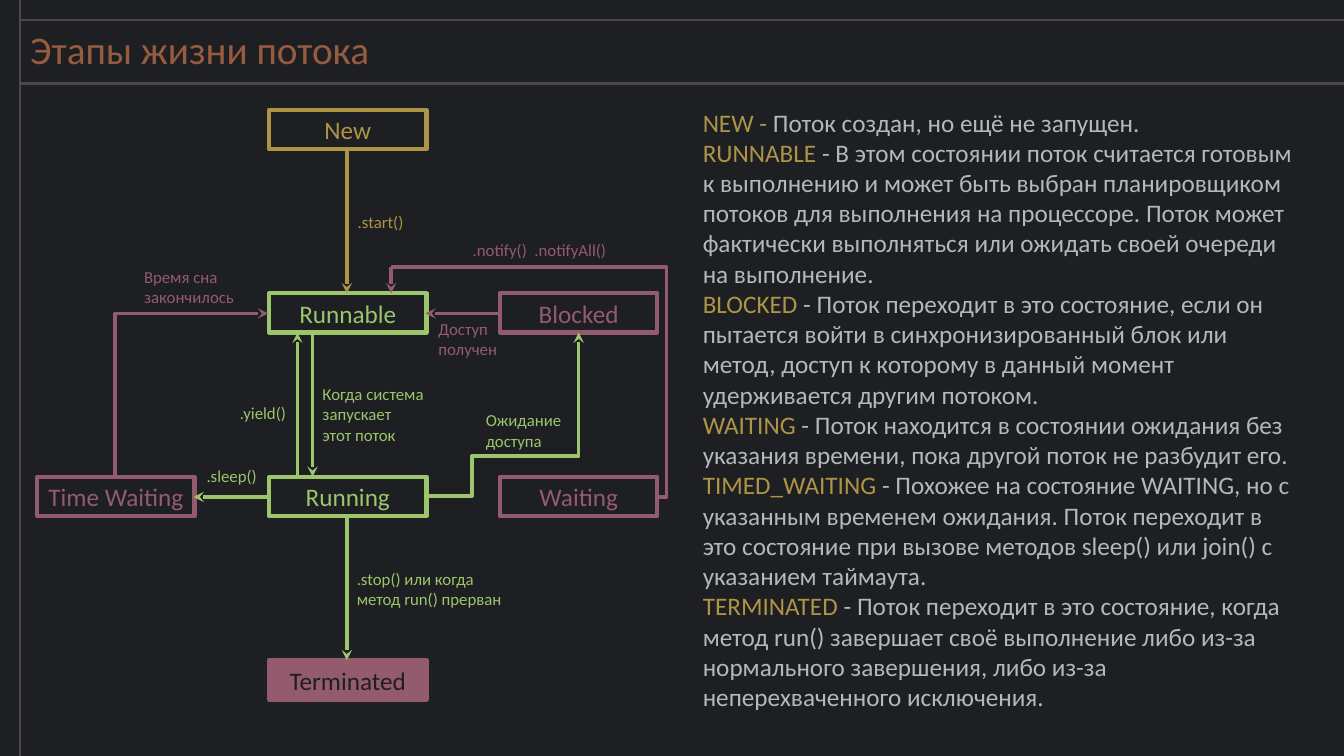
from lxml.etree import SubElement
from pptx import Presentation
from pptx.dml.color import RGBColor
from pptx.enum.shapes import MSO_CONNECTOR as Link, MSO_SHAPE as Preset
from pptx.enum.text import MSO_ANCHOR as Anchor, MSO_AUTO_SIZE as Fit, PP_ALIGN as Align
from pptx.oxml.ns import qn
from pptx.util import Inches, Pt

COLORS = {
    "background": "1E1F22",
    "rule": "4A494A",
    "title": "965C3F",
    "text": "B5B7BC",
    "gold": "AE9446",
    "mauve": "935B6D",
    "green": "9CC56C",
}
BOX_W, BOX_H = 1.56, 0.39
TOP, BOTTOM, LEFT, RIGHT = range(4)
SITES = {"top": 0, "left": 1, "bottom": 2, "right": 3}

STATES = [
    ("New", 2.67, 1.09, "gold"),
    ("Time Waiting", 0.37, 4.73, "mauve"),
    ("Blocked", 4.96, 2.91, "mauve"),
    ("Waiting", 4.96, 4.73, "mauve"),
    ("Terminated", 2.67, 6.55, "mauve"),
    ("Runnable", 2.67, 2.91, "green"),
    ("Running", 2.67, 4.73, "green"),
]
ARROWS = [
    ((3.44, 1.48), (3.44, 2.91), "gold"),
    ((3.1, 3.3), (3.1, 4.73), "green"),
    ((2.95, 4.72), (2.95, 3.3), "green"),
    ((3.44, 5.13), (3.44, 6.55), "green"),
    ((2.67, 4.93), (1.92, 4.93), "green"),
    ((4.96, 3.11), (4.22, 3.11), "mauve"),
    ((3.88, 2.65), (3.88, 2.91), "mauve"),
]
LABELS = [
    (".start()", (3.45, 2.05, 0.66, 0.3), "gold"),
    ("Когда система\nзапускает\nэтот поток", (3.1, 3.76, 1.26, 0.71), "green"),
    (".yield()", (2.28, 3.95, 0.66, 0.3), "green"),
    (".sleep()", (1.95, 4.57, 0.71, 0.3), "green"),
    ("Время сна\nзакончилось", (1.33, 2.6, 1.11, 0.5), "mauve"),
    (".notify()  .notifyAll()", (4.59, 2.33, 1.54, 0.3), "mauve"),
    ("Ожидание\nдоступа", (4.72, 4.02, 1, 0.5), "green"),
    ("Доступ\nполучен", (4.25, 3.11, 0.79, 0.5), "mauve"),
    (".stop() или когда\nметод run() прерван", (3.44, 5.59, 1.65, 0.5), "green"),
]
DEFINITIONS = [
    ("NEW -", " Поток создан, но ещё не запущен."),
    ("RUNNABLE", " - В этом состоянии поток считается готовым к выполнению и может быть "
     "выбран планировщиком потоков для выполнения на процессоре. Поток может фактически "
     "выполняться или ожидать своей очереди на выполнение."),
    ("BLOCKED", " - Поток переходит в это состояние, если он пытается войти в "
     "синхронизированный блок или метод, доступ к которому в данный момент удерживается "
     "другим потоком."),
    ("WAITING", " - Поток находится в состоянии ожидания без указания времени, пока другой "
     "поток не разбудит его."),
    ("TIMED_WAITING", " - Похожее на состояние WAITING, но с указанным временем ожидания. "
     "Поток переходит в это состояние при вызове методов sleep() или join() с указанием "
     "таймаута."),
    ("TERMINATED", " - Поток переходит в это состояние, когда метод run() завершает своё "
     "выполнение либо из-за нормального завершения, либо из-за неперехваченного исключения."),
]


def rgb(color):
    return RGBColor.from_string(COLORS[color])


def place(shape, frame):
    shape.left, shape.top, shape.width, shape.height = map(Inches, frame)


class ThreadSlide:
    font = "Calibri"

    def __init__(self, slide):
        self.slide = slide
        self.shapes = slide.shapes
        fill = slide.background.fill
        fill.solid()
        fill.fore_color.rgb = rgb("background")

    def style(self, paragraph, size, color, align=Align.LEFT):
        paragraph.alignment = align
        paragraph.font.name = self.font
        paragraph.font.size = Pt(size)
        paragraph.font.color.rgb = rgb(color)

    def title(self, text, frame):
        heading = self.shapes.title
        place(heading, frame)
        heading.text_frame.vertical_anchor = Anchor.MIDDLE
        heading.text_frame.auto_size = Fit.NONE
        paragraph = heading.text_frame.paragraphs[0]
        paragraph.text = text
        paragraph.line_spacing = 0.9
        self.style(paragraph, 28, "title")

    def definitions(self, entries, frame):
        body = self.slide.placeholders[1]
        place(body, frame)
        text_frame = body.text_frame
        text_frame.auto_size = Fit.NONE
        for number, (term, meaning) in enumerate(entries):
            paragraph = text_frame.add_paragraph() if number else text_frame.paragraphs[0]
            properties = paragraph._p.get_or_add_pPr()
            properties.set("marL", "0")
            properties.set("indent", "0")
            SubElement(properties, qn("a:buNone"))
            paragraph.space_before = Pt(0)
            paragraph.line_spacing = 1.0
            self.style(paragraph, 18, "text")
            for text, color in ((term, "gold"), (meaning, "text")):
                run = paragraph.add_run()
                run.text = text
                run.font.color.rgb = rgb(color)

    def state(self, name, left, top, color):
        box = self.shapes.add_shape(
            Preset.RECTANGLE, *map(Inches, (left, top, BOX_W, BOX_H)))
        box.shadow.inherit = False
        box.line.color.rgb = rgb(color)
        box.line.width = Pt(3)
        final = name == "Terminated"
        if final:
            box.fill.solid()
            box.fill.fore_color.rgb = rgb(color)
        else:
            box.fill.background()
        box.text_frame.vertical_anchor = Anchor.MIDDLE
        paragraph = box.text_frame.paragraphs[0]
        paragraph.text = name
        self.style(paragraph, 18, "background" if final else color, Align.CENTER)
        return box

    def label(self, text, frame, color):
        caption = self.shapes.add_textbox(*map(Inches, frame))
        caption.text_frame.word_wrap = False
        caption.text_frame.auto_size = Fit.SHAPE_TO_FIT_TEXT
        paragraph = caption.text_frame.paragraphs[0]
        paragraph.text = text
        self.style(paragraph, 12, color)

    def stroke(self, connector, color, width, arrow):
        connector.line.color.rgb = rgb(color)
        connector.line.width = Pt(width)
        if arrow:
            SubElement(connector.line._get_or_add_ln(), qn("a:tailEnd"), type="stealth")
        SubElement(connector._element.spPr, qn("a:effectLst"))

    def line(self, start, end, color, width=2.5, arrow=True):
        connector = self.shapes.add_connector(Link.STRAIGHT, *map(Inches, start + end))
        self.stroke(connector, color, width, arrow)

    def elbow(self, frame, color, preset="bentConnector3", rotation=0, flip_h=True,
              bend=None, arrow=True, source=None, target=None):
        """Draw a bent link; source and target are (box, side) pairs it is glued to."""
        connector = self.shapes.add_connector(Link.ELBOW, 0, 0, 0, 0)
        if source:
            connector.begin_connect(source[0], SITES[source[1]])
        if target:
            connector.end_connect(target[0], SITES[target[1]])
        place(connector, frame)
        connector.rotation = rotation
        properties = connector._element.spPr
        transform = properties.find(qn("a:xfrm"))
        transform.set("flipH", str(int(flip_h)))
        transform.set("flipV", "1")
        geometry = properties.find(qn("a:prstGeom"))
        geometry.set("prst", preset)
        if bend is not None:
            guides = geometry.find(qn("a:avLst"))
            if guides is None:
                guides = SubElement(geometry, qn("a:avLst"))
            SubElement(guides, qn("a:gd"), name="adj1", fmla=f"val {round(bend * 100000)}")
        self.stroke(connector, color, 2.5, arrow)


def main():
    deck = Presentation()
    deck.slide_width, deck.slide_height = Inches(13.33), Inches(7.5)
    page = ThreadSlide(deck.slides.add_slide(deck.slide_layouts[1]))

    page.title("Этапы жизни потока", (0.2, 0.2, 13.03, 0.62))
    page.line((0.2, 7.5), (0.2, 0), "rule", 1.75, arrow=False)
    for y in (0.2, 0.83):
        page.line((13.33, y), (0.2, y), "rule", 1.75, arrow=False)

    boxes = {state[0]: page.state(*state) for state in STATES}
    for arrow in ARROWS:
        page.line(*arrow)
    page.elbow((1.09, 3.16, 1.62, 1.52), "mauve", "bentConnector2", rotation=90,
               source=(boxes["Time Waiting"], "top"), target=(boxes["Runnable"], "left"))
    page.elbow((4.59, 3.39, 1.24, 1.06), "green", rotation=90, bend=0.013,
               target=(boxes["Blocked"], "bottom"))
    page.elbow((3.88, 2.65, 2.64, 2.28), "mauve", bend=-0.035, arrow=False,
               source=(boxes["Waiting"], "right"))
    page.elbow((4.22, 4.54, 0.46, 0.38), "green", rotation=180, flip_h=False, bend=0,
               arrow=False, target=(boxes["Running"], "right"))
    for label in LABELS:
        page.label(*label)
    page.definitions(DEFINITIONS, (6.87, 1.01, 6.08, 6.16))

    deck.save("out.pptx")


if __name__ == "__main__":
    main()
